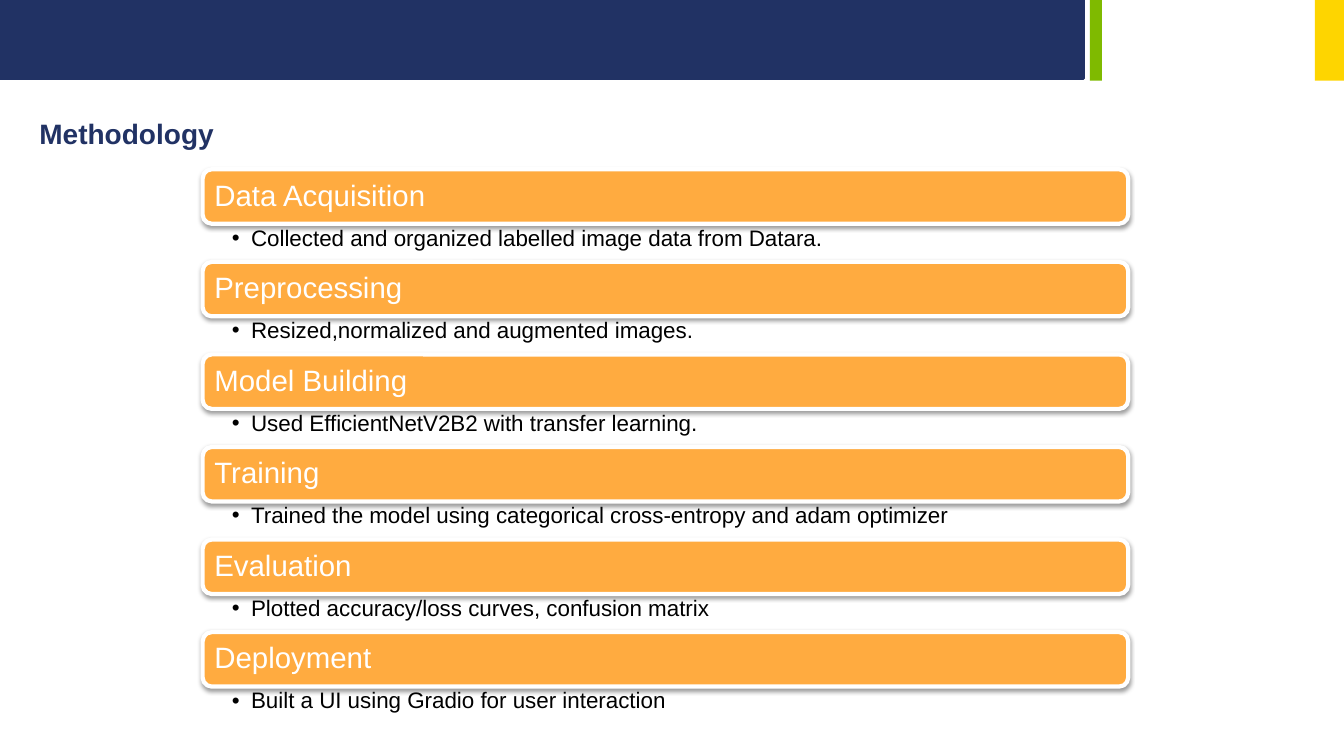
from lxml import etree
from pptx import Presentation
from pptx.dml.color import RGBColor
from pptx.enum import shapes, text
from pptx.oxml import ns
from pptx.util import Inches, Pt

NAVY = RGBColor(0x21, 0x32, 0x64)
GREEN = RGBColor(0x7F, 0xBA, 0x00)
YELLOW = RGBColor(0xFE, 0xD5, 0x00)
ORANGE = RGBColor(0xFF, 0xAB, 0x40)
WHITE = RGBColor(0xFF, 0xFF, 0xFF)
BLACK = RGBColor(0x00, 0x00, 0x00)

STEPS = [
    ("Data Acquisition", "Collected and organized labelled image data from Datara."),
    ("Preprocessing", "Resized,normalized and augmented images."),
    ("Model Building", "Used EfficientNetV2B2 with transfer learning."),
    ("Training", "Trained the model using categorical cross-entropy and adam optimizer"),
    ("Evaluation", "Plotted accuracy/loss curves, confusion matrix"),
    ("Deployment", "Built a UI using Gradio for user interaction"),
]


def node(parent, tag, **attrs):
    """Append a DrawingML element and return it."""
    return etree.SubElement(parent, ns.qn(tag), attrs)


def block(slide, kind, box, fill):
    """Draw a filled shape without line or shadow."""
    shape = slide.shapes.add_shape(kind, *map(Inches, box))
    shape.shadow.inherit = False
    shape.fill.solid()
    shape.fill.fore_color.rgb = fill
    shape.line.fill.background()
    return shape


def write(shape, words, size, color, insets, anchor, bold=False):
    """Write one left-aligned Arial paragraph and return it."""
    frame = shape.text_frame
    frame.word_wrap = True
    frame.auto_size = text.MSO_AUTO_SIZE.NONE
    frame.vertical_anchor = anchor
    (frame.margin_left, frame.margin_top,
     frame.margin_right, frame.margin_bottom) = map(Inches, insets)
    para = frame.paragraphs[0]
    para.alignment = text.PP_ALIGN.LEFT
    run = para.add_run()
    run.text = words
    run.font.name = "Arial"
    run.font.size = Pt(size)
    run.font.bold = bold
    run.font.color.rgb = color
    return para


def header(slide, left, top, width, height):
    """Draw the navy band and its green and yellow strips."""
    rect = shapes.MSO_SHAPE.RECTANGLE
    band = block(slide, rect, (left, top, width - 2.58, height - 0.02), NAVY)
    band.line.color.rgb = NAVY
    band.line.width = Pt(2)
    block(slide, rect, (left + width - 2.52, top, 0.12, height), GREEN)
    block(slide, rect, (left + width - 0.29, top, 0.29, height), YELLOW)


def heading(slide, left, top, width, height):
    """Place and format the slide title."""
    title = slide.shapes.title
    title.left, title.top = Inches(left), Inches(top)
    title.width, title.height = Inches(width), Inches(height)
    write(title, "Methodology", 20, NAVY, (0.1, 0.05, 0.1, 0.05),
          text.MSO_ANCHOR.TOP, True)


def shade(shape):
    """Give a shape a soft shadow straight below it."""
    effects = shape._element.spPr.find(ns.qn("a:effectLst"))
    outer = node(effects, "a:outerShdw", blurRad=str(Pt(3.1)), dist=str(Pt(1.6)),
                 dir="5400000", algn="t", rotWithShape="0")
    node(node(outer, "a:srgbClr", val=str(BLACK)), "a:alpha", val="38000")


def step(slide, left, top, width, name, detail):
    """Draw one step bar with its bullet underneath."""
    bar = block(slide, shapes.MSO_SHAPE.ROUNDED_RECTANGLE,
                (left, top, width, 0.54), ORANGE)
    bar.line.color.rgb = WHITE
    bar.line.width = Pt(3)
    shade(bar)
    label = write(bar, name, 21, WHITE, (0.09,) * 4, text.MSO_ANCHOR.MIDDLE)
    label.line_spacing = 0.9

    note = slide.shapes.add_textbox(*map(Inches, (left, top + 0.54, width, 0.38)))
    para = write(note, detail, 16, BLACK, (0.29, 0.03, 0.16, 0.03),
                 text.MSO_ANCHOR.TOP)
    para.level = 1
    para.line_spacing = 0.9
    props = para._p.get_or_add_pPr()
    props.set("marL", str(Inches(0.19)))
    props.set("indent", str(Inches(-0.19)))
    node(node(props, "a:buClr"), "a:srgbClr", val=str(BLACK))
    node(props, "a:buFont", typeface="Arial")
    node(props, "a:buChar", char="•")


def steps(slide, left, top, width, height):
    """Stack all steps evenly in the box."""
    pitch = height / len(STEPS)
    for i, (name, detail) in enumerate(STEPS):
        step(slide, left, top + i * pitch, width, name, detail)


def main():
    """Build and save the slide."""
    deck = Presentation()
    deck.slide_width, deck.slide_height = Inches(13.33), Inches(7.5)
    slide = deck.slides.add_slide(deck.slide_layouts[5])
    header(slide, 0, 0, 13.33, 0.8)
    heading(slide, 0.29, 1.11, 6.67, 0.44)
    steps(slide, 2.01, 1.68, 9.18, 5.51)
    deck.save("out.pptx")


if __name__ == "__main__":
    main()
